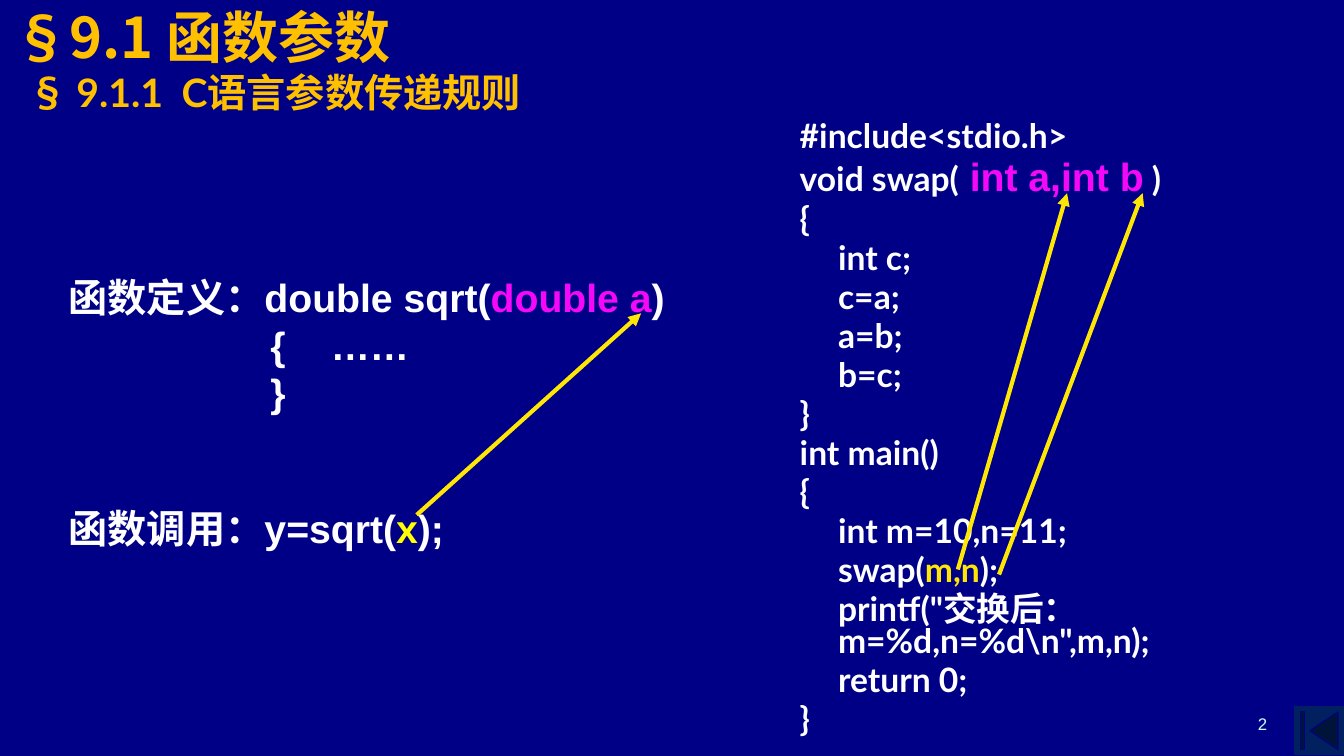
import pptx
import pptx.dml.color
import pptx.enum.shapes
import pptx.enum.text
import pptx.oxml.ns
import pptx.util
from lxml import etree

RGB = pptx.dml.color.RGBColor
NAVY = RGB(0x00, 0x00, 0x86)
DARK_BLUE = RGB(0x00, 0x20, 0x60)
GOLD = RGB(0xFF, 0xC0, 0x00)
WHITE = RGB(0xFF, 0xFF, 0xFF)
MAGENTA = RGB(0xF5, 0x07, 0xF7)
YELLOW = RGB(0xFF, 0xFF, 0x00)
ARROW_YELLOW = RGB(0xFF, 0xE7, 0x05)
PALE_CYAN = RGB(0xCC, 0xFF, 0xFF)

ARIAL, LATO, CJK = "Arial", "Lato", "Noto Sans CJK SC"
COLUMNS, ROWS = 160, 90
TOP, MIDDLE, BOTTOM = (pptx.enum.text.MSO_ANCHOR.TOP, pptx.enum.text.MSO_ANCHOR.MIDDLE,
                       pptx.enum.text.MSO_ANCHOR.BOTTOM)


def add_element(parent, tag, **attributes):
    return etree.SubElement(parent, pptx.oxml.ns.qn(tag), attributes)


def add_text(paragraph, text, size=28, font=ARIAL, color=WHITE, bold=True):
    run = paragraph.add_run()
    run.text = text
    run.font.size = pptx.util.Pt(size)
    run.font.bold = bold
    run.font.color.rgb = color
    run.font.name = font
    add_element(run.font._element, "a:ea", typeface=CJK)


class LessonSlide:
    """Draws on a grid of 160 columns by 90 rows."""

    def __init__(self, deck):
        self.cell = deck.slide_height / ROWS
        self.slide = deck.slides.add_slide(deck.slide_layouts[6])
        self.slide.background.fill.solid()
        self.slide.background.fill.fore_color.rgb = NAVY

    def grid(self, *lengths):
        return [round(length * self.cell) for length in lengths]

    def text_box(self, place, paragraphs, anchor=TOP, tabs=(), hanging=0, line_spacing=None,
                 space_before=None, align=None, **style):
        """Each paragraph is a list of (text, format) pairs."""
        frame = self.slide.shapes.add_textbox(*self.grid(*place)).text_frame
        frame.word_wrap = True
        frame.vertical_anchor = anchor
        for index, pieces in enumerate(paragraphs):
            paragraph = frame.paragraphs[0] if index == 0 else frame.add_paragraph()
            properties = paragraph._p.get_or_add_pPr()
            if hanging:
                indent = pptx.util.Inches(hanging)
                properties.set("marL", str(indent))
                properties.set("indent", str(-indent))
            if tabs:
                stops = add_element(properties, "a:tabLst")
                for stop in tabs:
                    add_element(stops, "a:tab", pos=str(pptx.util.Inches(stop)), algn="l")
            paragraph.alignment = align
            paragraph.line_spacing = line_spacing
            if index and space_before:
                paragraph.space_before = pptx.util.Pt(space_before)
            for text, change in pieces:
                add_text(paragraph, text, **{**style, **change})
        return frame

    def arrow(self, *ends):
        line = self.slide.shapes.add_connector(
            pptx.enum.shapes.MSO_CONNECTOR.STRAIGHT, *self.grid(*ends))
        line.line.color.rgb = ARROW_YELLOW
        line.line.width = pptx.util.Pt(3)
        add_element(line.line._get_or_add_ln(), "a:tailEnd", type="triangle")
        add_element(line._element.spPr, "a:effectLst")

    def first_page_button(self, *place):
        button = self.slide.shapes.add_shape(
            pptx.enum.shapes.MSO_SHAPE.ACTION_BUTTON_BEGINNING, *self.grid(*place))
        button.shadow.inherit = False
        button.fill.solid()
        button.fill.fore_color.rgb = DARK_BLUE
        button.line.color.rgb = NAVY
        button.line.width = pptx.util.Pt(0.75)


def plain(*lines):
    return [[(line, {})] for line in lines]


def main():
    deck = pptx.Presentation()
    deck.slide_width = pptx.util.Inches(13.33)
    deck.slide_height = pptx.util.Inches(7.5)
    lesson = LessonSlide(deck)

    lesson.first_page_button(COLUMNS - 6, ROWS - 6, 6, 6)
    lesson.text_box((114.7, 82, 37.3, 6), plain("2"), anchor=BOTTOM, size=12, bold=False,
                    color=PALE_CYAN, align=pptx.enum.text.PP_ALIGN.RIGHT)
    lesson.text_box((0.4, 1.1, 63.5, 6.4), plain("§9.1 函数参数"), anchor=MIDDLE,
                    size=40, font=CJK, color=GOLD)
    lesson.text_box((2.2, 7.4, 79.3, 7), [[("§ ", {"font": CJK}), ("9.1.1\tC语言参数传递规则", {})]],
                    anchor=MIDDLE, tabs=[1.52], font=LATO, color=GOLD)

    parameter = {"color": MAGENTA}
    definition = lesson.text_box((7, 32, 75.6, 35.2), [
        [("函数定义：double sqrt(", {}), ("double a", parameter), (")", {})],
        *plain("\t{\t……", "\t}"),
        [("函数调用：y=sqrt(", {}), ("x", {"color": YELLOW}), (");", {})],
    ], tabs=[2, 2.6])
    definition.paragraphs[-1].space_before = pptx.util.Pt(64)
    lesson.arrow(49.6, 61.3, 76.3, 37.3)

    lesson.text_box((94, 14, 53.4, 73.7), [
        *plain("#include<stdio.h>"),
        [("void swap(", {}), (" int a,int b", {"size": 28, "font": ARIAL, **parameter}), (" )", {})],
        *plain("{", "\tint c;", "\tc=a;", "\ta=b;", "\tb=c;", "}",
               "int main()", "{", "\tint m=10,n=11;"),
        [("\tswap(", {}), ("m,n", {"color": ARROW_YELLOW}), (");", {})],
        *plain("\tprintf(\"交换后：m=%d,n=%d\\n\",m,n);", "\treturn 0;", "}"),
    ], hanging=0.38, line_spacing=0.8, space_before=4.8, size=24, font=LATO)
    lesson.arrow(114, 67.8, 127, 23)
    lesson.arrow(118.9, 68.4, 136, 23)

    deck.save("out.pptx")


if __name__ == "__main__":
    main()
